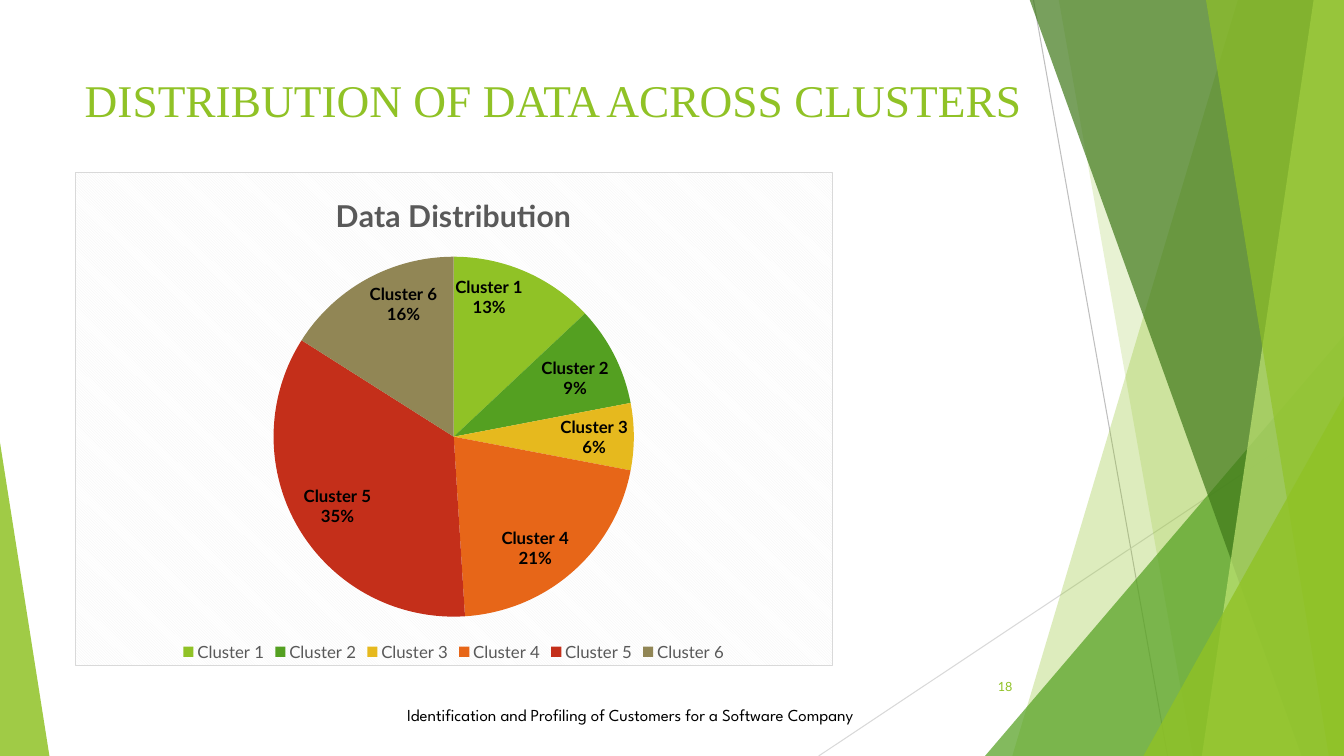
from lxml import etree
from pptx import Presentation
from pptx import util as u
from pptx.chart.data import CategoryChartData
from pptx.dml.color import RGBColor
from pptx.enum import chart as ch, dml, shapes, text
from pptx.oxml import parse_xml
from pptx.oxml.ns import nsdecls, qn

WIDTH, HEIGHT = 13.33, 7.5
GREEN = "90C226"


def paint(fill, color, alpha=100):
    """Fill with a solid hex colour at the given opacity in percent."""
    fill.solid()
    fill.fore_color.rgb = RGBColor.from_string(color)
    if alpha < 100:
        for tag in fill._xPr.iter(qn("a:srgbClr")):
            etree.SubElement(tag, qn("a:alpha")).set("val", str(alpha * 1000))


def style(font, color, **values):
    """Set a font's colour and its other attributes."""
    paint(font.fill, color)
    for name, value in values.items():
        setattr(font, name, value)


deck = Presentation()
deck.slide_width, deck.slide_height = u.Inches(WIDTH), u.Inches(HEIGHT)
page = deck.slides.add_slide(deck.slide_layouts[5])

# Background facets, from back to front
for start, end, color in [((10.25, 0), (11.58, HEIGHT), "BFBFBF"),
                          ((WIDTH, 4.03), (8.12, HEIGHT), "D9D9D9")]:
    line = page.shapes.add_connector(shapes.MSO_CONNECTOR.STRAIGHT,
                                     *map(u.Inches, start + end))
    paint(line.line.fill, color)
    line.line.width = u.Pt(0.75)
    etree.SubElement(line._element.spPr, qn("a:effectLst"))

# Bands: top-left x, bottom-left x, colour, opacity
# Triangles: left, top, width, apex share, colour, opacity
facets = [
    (12.28, 10.04, GREEN, 30),
    (10.5, 11.83, GREEN, 20),
    (9.77, 3.33, 3.56, 1, "54A021", 72),
    (10.21, 12.91, "3F7819", 70),
    (13.03, 11.92, "C0E474", 70),
    (11.96, 13.18, GREEN, 65),
    (11.34, 3.93, 1.99, 1, GREEN, 80),
    (0, 4.39, 0.49, 0, GREEN, 85),
]
for *place, color, alpha in facets:
    if len(place) == 2:
        top_x, bottom_x = place
        corners = [(u.Inches(x), u.Inches(y)) for x, y in
                   [(top_x, -0.01), (WIDTH, -0.01), (WIDTH, HEIGHT), (bottom_x, HEIGHT)]]
        outline = page.shapes.build_freeform(*corners[0])
        outline.add_line_segments(corners[1:])
        facet = outline.convert_to_shape()
    else:
        left, top, width, apex = place
        facet = page.shapes.add_shape(shapes.MSO_SHAPE.ISOSCELES_TRIANGLE,
                                      *map(u.Inches, (left, top, width, HEIGHT - top)))
        facet.adjustments[0] = apex
    facet.shadow.inherit = False
    facet.line.fill.background()
    paint(facet.fill, color, alpha)

# Pie chart
data = CategoryChartData()
data.categories = [f"Cluster {n}" for n in range(1, 7)]
data.add_series("Series 1", (13, 9, 6, 21, 35, 16))
chart = page.shapes.add_chart(ch.XL_CHART_TYPE.PIE,
                              *map(u.Inches, (0.74, 1.71, 7.52, 4.9)), data).chart
style(chart.font, "000000", size=u.Pt(10), name="Lato")

chart.has_title = True
chart.chart_title.include_in_layout = False
heading = chart.chart_title.text_frame.paragraphs[0].add_run()
heading.text = "Data Distribution"
style(heading.font, "595959", size=u.Pt(21.6), bold=True, name="Lato")

chart.has_legend = True
chart.legend.position = ch.XL_LEGEND_POSITION.BOTTOM
chart.legend.include_in_layout = False
style(chart.legend.font, "595959", size=u.Pt(12), name="Lato")

plot = chart.plots[0]
plot.vary_by_categories = True
slices = [GREEN, "54A021", "E6B91E", "E76618", "C42F1A", "918655"]
for index, color in enumerate(slices):
    paint(plot.series[0].points[index].format.fill, color)
labels = plot.series[0].data_labels
for name, value in {"show_percentage": True, "show_category_name": True,
                    "show_value": False, "number_format": "0%",
                    "number_format_is_linked": False,
                    "position": ch.XL_LABEL_POSITION.INSIDE_END}.items():
    setattr(labels, name, value)
style(labels.font, "000000", size=u.Pt(12), bold=True, name="Lato")
separator = etree.Element(qn("c:separator"))
separator.text = "\n"
labels._element.find(qn("c:showBubbleSize")).addnext(separator)

# Chart area: hatched fill and thin border
chart._chartSpace.find(qn("c:chart")).addnext(parse_xml(
    f'<c:spPr {nsdecls("c", "a")}><a:pattFill prst="dkDnDiag">'
    '<a:fgClr><a:srgbClr val="F2F2F2"/></a:fgClr>'
    '<a:bgClr><a:srgbClr val="FFFFFF"/></a:bgClr></a:pattFill>'
    '<a:ln w="9525"><a:solidFill><a:srgbClr val="D9D9D9"/></a:solidFill></a:ln></c:spPr>'))

# Title, page number and footer
title = page.shapes.title
number, footer = (page.shapes.add_textbox(0, 0, 0, 0) for _ in range(2))
TOP, MIDDLE = text.MSO_ANCHOR.TOP, text.MSO_ANCHOR.MIDDLE
LEFT, RIGHT = text.PP_ALIGN.LEFT, text.PP_ALIGN.RIGHT
for box, place, words, anchor, align, color, size, face in [
    (title, (0.74, 0.67, 9.88, 1.05), "DISTRIBUTION OF DATA ACROSS CLUSTERS",
     TOP, LEFT, GREEN, 32.4, "Times New Roman"),
    (number, (9.39, 6.61, 0.75, 0.4), "18", MIDDLE, RIGHT, GREEN, 9, "Lato"),
    (footer, (3.94, 6.89, 5.46, 0.4),
     "Identification and Profiling of Customers for a Software Company",
     MIDDLE, LEFT, "000000", 12, "League Spartan"),
]:
    box.left, box.top, box.width, box.height = map(u.Inches, place)
    frame = box.text_frame
    frame.word_wrap, frame.vertical_anchor = True, anchor
    frame.auto_size = text.MSO_AUTO_SIZE.NONE
    para = frame.paragraphs[0]
    para.alignment = align
    span = para.add_run()
    span.text = words
    style(span.font, color, size=u.Pt(size), name=face)

deck.save("out.pptx")
